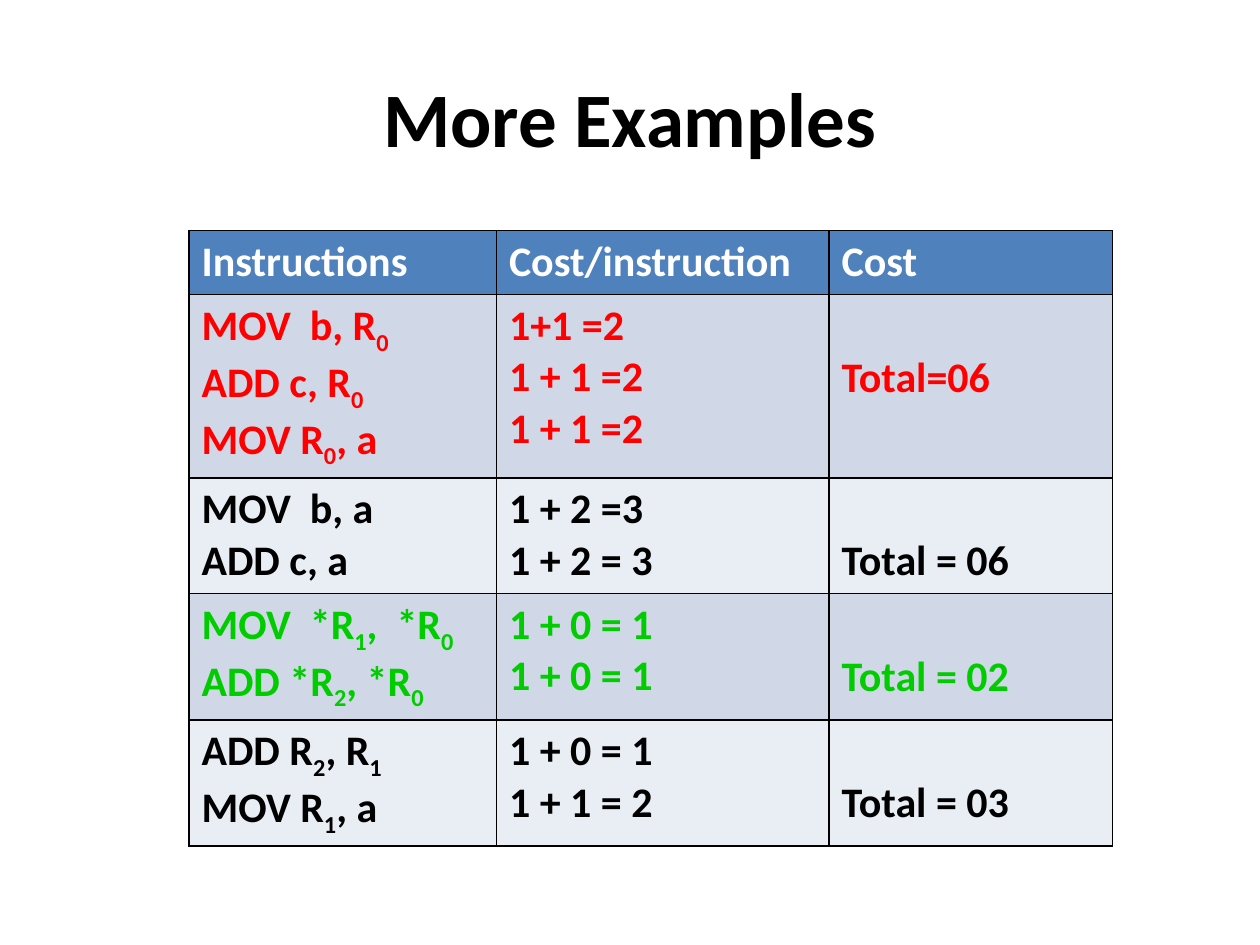
from dataclasses import dataclass

from lxml import etree
from pptx import Presentation
from pptx import util as u
from pptx.dml.color import RGBColor
from pptx.enum import text
from pptx.oxml import ns


@dataclass(frozen=True)
class Theme:
    font: str = "Calibri"
    title_size: int = 44
    body_size: int = 24
    black: str = "000000"
    white: str = "FFFFFF"
    red: str = "FF0000"
    green: str = "00CC00"
    header_fill: str = "4F81BD"
    bands: tuple = ("D0D8E8", "E9EDF4")
    border_width: float = 1
    subscript: int = -25000
    line_height: float = 0.41  # one line of body text, in inches
    margin: float = 0.05


class SlideBuilder:
    def __init__(self, deck, theme):
        self.theme = theme
        self.page = deck.slides.add_slide(deck.slide_layouts[5])

    def add_span(self, para, words, size, color, subscript=False):
        span = para.add_run()
        span.text = words
        span.font.name = self.theme.font
        span.font.size = u.Pt(size)
        span.font.bold = True
        span.font.color.rgb = RGBColor.from_string(color)
        if subscript:
            span._r.get_or_add_rPr().set("baseline", str(self.theme.subscript))

    def add_line(self, para, line, color):
        """Add one line; an underscore makes the next character a subscript."""
        first, *rest = line.split("_")
        size = self.theme.body_size
        self.add_span(para, first, size, color)
        for piece in rest:
            self.add_span(para, piece[0], size, color, subscript=True)
            if piece[1:]:
                self.add_span(para, piece[1:], size, color)

    def title(self, words, left, top, width, height):
        box = self.page.shapes.title
        box.left, box.top = u.Inches(left), u.Inches(top)
        box.width, box.height = u.Inches(width), u.Inches(height)
        box.text_frame.vertical_anchor = text.MSO_ANCHOR.MIDDLE
        para = box.text_frame.paragraphs[0]
        para.alignment = text.PP_ALIGN.CENTER
        self.add_span(para, words, self.theme.title_size, self.theme.black)

    def border(self, cell):
        properties = cell._tc.get_or_add_tcPr()
        for index, side in enumerate(("lnL", "lnR", "lnT", "lnB")):
            line = etree.Element(ns.qn(f"a:{side}"), w=str(u.Pt(self.theme.border_width)))
            fill = etree.SubElement(line, ns.qn("a:solidFill"))
            etree.SubElement(fill, ns.qn("a:srgbClr"), val=self.theme.black)
            properties.insert(index, line)

    def fill_cell(self, cell, lines, color, fill, lines_down=0):
        cell.fill.solid()
        cell.fill.fore_color.rgb = RGBColor.from_string(fill)
        self.border(cell)
        cell.margin_top = u.Inches(self.theme.margin + lines_down * self.theme.line_height)
        frame = cell.text_frame
        for index, line in enumerate(lines):
            para = frame.add_paragraph() if index else frame.paragraphs[0]
            self.add_line(para, line, color)

    def cost_table(self, headings, groups, left, top, widths, heights):
        frame = self.page.shapes.add_table(
            len(heights), len(widths), u.Inches(left), u.Inches(top),
            u.Inches(sum(widths)), u.Inches(sum(heights)))
        table = frame.table
        for column, width in zip(table.columns, widths):
            column.width = u.Inches(width)
        for row, height in zip(table.rows, heights):
            row.height = u.Inches(height)

        # Header row
        for index, heading in enumerate(headings):
            self.fill_cell(table.cell(0, index), [heading],
                           self.theme.white, self.theme.header_fill)

        # One banded row per code sequence; its total sits on the second line
        for row, (color, instructions, costs, total) in enumerate(groups, start=1):
            fill = self.theme.bands[(row - 1) % 2]
            self.fill_cell(table.cell(row, 0), instructions, color, fill)
            self.fill_cell(table.cell(row, 1), costs, color, fill)
            self.fill_cell(table.cell(row, 2), [total], color, fill, lines_down=1)


def main():
    theme = Theme()
    deck = Presentation()
    deck.slide_width, deck.slide_height = u.Inches(10), u.Inches(7.5)
    slide = SlideBuilder(deck, theme)

    slide.title("More Examples", 0.5, 0.3, 9, 1.25)

    groups = [
        (theme.red, ["MOV  b, R_0", "ADD c, R_0", "MOV R_0, a"],
         ["1+1 =2", "1 + 1 =2", "1 + 1 =2"], "Total=06"),
        (theme.black, ["MOV  b, a", "ADD c, a"],
         ["1 + 2 =3", "1 + 2 = 3"], "Total = 06"),
        (theme.green, ["MOV  *R_1,  *R_0", "ADD *R_2, *R_0"],
         ["1 + 0 = 1", "1 + 0 = 1"], "Total = 02"),
        (theme.black, ["ADD R_2, R_1", "MOV R_1, a"],
         ["1 + 0 = 1", "1 + 1 = 2"], "Total = 03"),
    ]
    slide.cost_table(["Instructions", "Cost/instruction", "Cost"], groups,
                     left=1.5, top=1.83, widths=[2.44, 2.64, 2.25],
                     heights=[0.5, 1.45, 0.9, 1, 1])

    deck.save("out.pptx")


if __name__ == "__main__":
    main()
